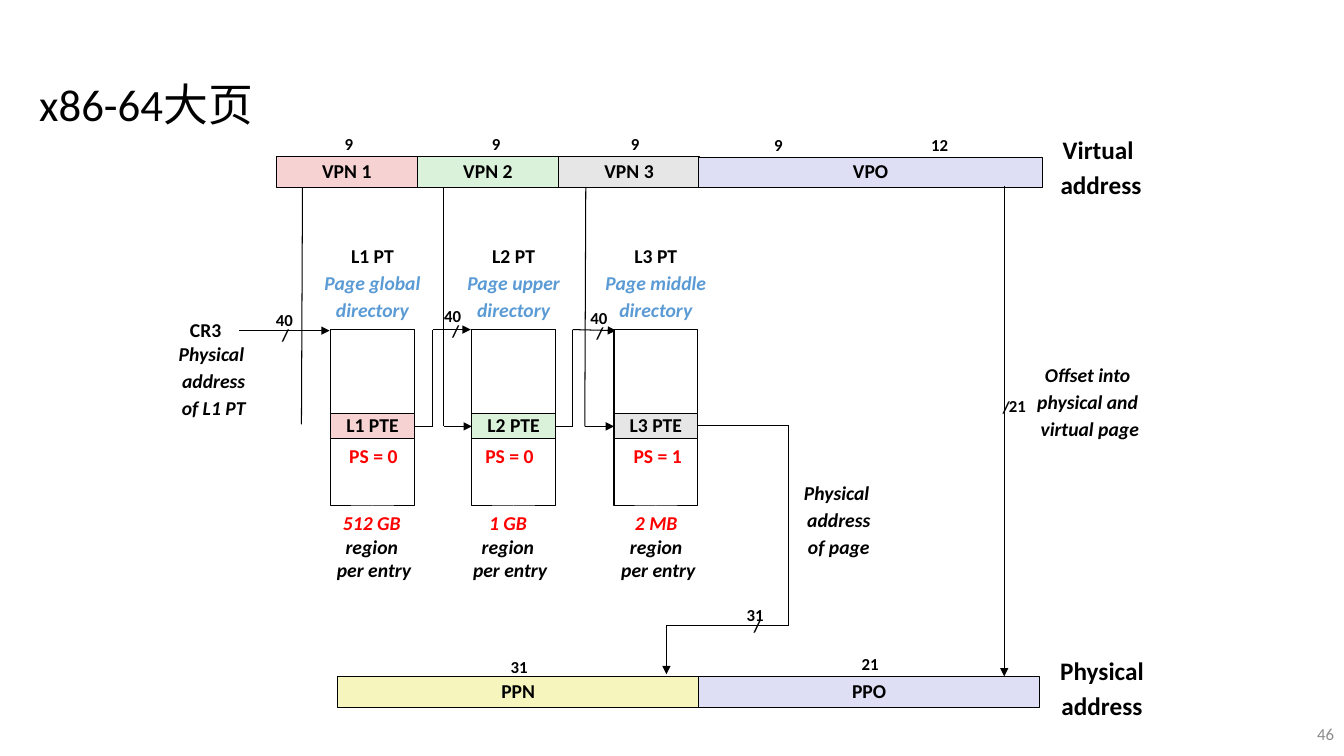
"""Build the slide on x86-64 huge page address translation."""
import pptx
import pptx.util
import pptx.dml.color
import pptx.enum.shapes
import pptx.enum.text
import pptx.oxml
import pptx.oxml.ns

Inches = pptx.util.Inches
Pt = pptx.util.Pt
ALIGN = pptx.enum.text.PP_ALIGN
COLORS = {
    "black": "000000", "white": "FFFFFF", "gray": "8C8C8C", "red": "FF0000",
    "blue": "5B9BD5", "pink": "F6D2D2", "green": "DBF2DA", "silver": "E6E6E6",
    "lavender": "DEDFF5", "yellow": "F6F5BD",
}


def rgb(name):
    return pptx.dml.color.RGBColor.from_string(COLORS[name])


def write(frame, lines, size, bold=True, align=ALIGN.CENTER, tight=True):
    for index, (words, color, italic) in enumerate(lines):
        paragraph = frame.paragraphs[0] if index == 0 else frame.add_paragraph()
        paragraph.alignment = align
        if tight:
            paragraph.line_spacing = 0.9
            if index:
                paragraph.space_before = Pt(0.3 * size)
        run = paragraph.add_run()
        run.text = words
        run.font.name = "Calibri"
        run.font.size = Pt(size)
        run.font.bold = bold
        run.font.italic = italic
        run.font.color.rgb = rgb(color)


def add_text(slide, left, top, width, height, lines, size, wrap=False, **style):
    box = slide.shapes.add_textbox(Inches(left), Inches(top), Inches(width), Inches(height))
    frame = box.text_frame
    frame.word_wrap = wrap
    frame.auto_size = pptx.enum.text.MSO_AUTO_SIZE.SHAPE_TO_FIT_TEXT
    write(frame, lines, size, **style)


def add_caption(slide, center, top, width, height, words, size=14, italic=False):
    lines = [(line, "black", italic) for line in words]
    add_text(slide, center - width / 2, top, width, height, lines, size)


def add_bits(slide, center, top, count):
    add_caption(slide, center, top, 0.37, 0.28, [count], 12)


def add_slash(slide, center, top):
    add_text(slide, center - 0.145, top, 0.29, 0.3, [("/", "black", False)], 12, tight=False)


def add_field(slide, left, top, width, height, fill, label=None):
    field = slide.shapes.add_shape(
        pptx.enum.shapes.MSO_SHAPE.RECTANGLE,
        Inches(left), Inches(top), Inches(width), Inches(height))
    field.shadow.inherit = False
    field.fill.solid()
    field.fill.fore_color.rgb = rgb(fill)
    field.line.color.rgb = rgb("black")
    field.line.width = Pt(0.75)
    if label:
        frame = field.text_frame
        frame.word_wrap = False
        frame.vertical_anchor = pptx.enum.text.MSO_ANCHOR.MIDDLE
        write(frame, [(label, "black", False)], 14)


def add_route(slide, points, arrow=True):
    for index, (start, end) in enumerate(zip(points, points[1:]), 2):
        segment = slide.shapes.add_connector(
            pptx.enum.shapes.MSO_CONNECTOR.STRAIGHT,
            Inches(start[0]), Inches(start[1]), Inches(end[0]), Inches(end[1]))
        segment.line.color.rgb = rgb("black")
        segment.line.width = Pt(0.75)
        if arrow and index == len(points):
            head = pptx.oxml.parse_xml(
                "<a:tailEnd %s type='triangle'/>" % pptx.oxml.ns.nsdecls("a"))
            segment.line._get_or_add_ln().append(head)
        properties = segment._element.spPr
        properties.append(pptx.oxml.parse_xml(
            "<a:effectLst %s/>" % pptx.oxml.ns.nsdecls("a")))


def add_level(slide, level, table_left, fill, directory, note_center, page_size, region):
    center = table_left + 0.415
    add_field(slide, table_left, 3.27, 0.83, 1.75, "white")
    add_field(slide, table_left, 4.1, 0.83, 0.25, fill, f"L{level} PTE")
    heading = [(f"L{level} PT", "black", False), (directory, "blue", True),
               ("directory", "blue", True)]
    add_text(slide, center - 0.6, 2.4, 1.2, 0.88, heading, 14)
    add_text(slide, note_center - 0.345, 4.35, 0.69, 0.34,
             [(f"PS = {page_size}", "red", False)], 14, align=ALIGN.LEFT, tight=False)
    coverage = [(region, "red", True), ("region ", "black", True),
                ("per entry", "black", True)]
    add_text(slide, note_center - 0.555, 5.02, 1.11, 0.81, coverage, 14,
             wrap=True, tight=False)


def add_addresses(slide):
    for index, fill in enumerate(("pink", "green", "silver")):
        add_field(slide, 2.74 + 1.4 * index, 1.55, 1.4, 0.31, fill, f"VPN {index + 1}")
    add_field(slide, 6.93, 1.56, 3.41, 0.3, "lavender", "VPO")
    add_field(slide, 3.35, 6.71, 3.58, 0.31, "yellow", "PPN")
    add_field(slide, 6.93, 6.71, 3.38, 0.31, "lavender", "PPO")
    add_caption(slide, 10.92, 1.32, 1.01, 0.74, ["Virtual ", "address"], 18)
    add_caption(slide, 10.93, 6.49, 1.04, 0.74, ["Physical ", "address"], 18)


def add_routes(slide):
    add_route(slide, [(3, 1.86), (2.99, 4.21)], arrow=False)
    add_route(slide, [(4.4, 1.86), (4.4, 4.23), (4.68, 4.23)])
    add_route(slide, [(5.81, 1.86), (5.8, 4.23), (6.09, 4.23)])
    add_route(slide, [(2.37, 3.28), (3.27, 3.28)])
    add_route(slide, [(4.09, 4.23), (4.29, 4.23), (4.29, 3.27), (4.67, 3.27)])
    add_route(slide, [(5.49, 4.23), (5.68, 4.23), (5.68, 3.27), (6.11, 3.28)])
    add_route(slide, [(6.9, 4.22), (7.82, 4.22), (7.82, 6.21), (6.61, 6.21), (6.61, 6.69)])
    add_route(slide, [(9.96, 1.85), (9.96, 6.71)])


def main():
    deck = pptx.Presentation()
    deck.slide_width = Inches(13.33)
    deck.slide_height = Inches(7.5)
    slide = deck.slides.add_slide(deck.slide_layouts[6])

    add_text(slide, 0.29, 0.71, 6.67, 0.64, [("x86-64大页", "black", False)], 32,
             wrap=True, bold=False, align=ALIGN.LEFT, tight=False)
    add_text(slide, 10.33, 7.13, 3, 0.3, [("46", "gray", False)], 12,
             wrap=True, bold=False, align=ALIGN.RIGHT, tight=False)
    add_addresses(slide)
    add_routes(slide)
    for level in (
        (1, 3.28, "pink", "Page global", 3.71, 0, "512 GB "),
        (2, 4.68, "green", "Page upper", 5.06, 0, "1 GB "),
        (3, 6.09, "silver", "Page middle", 6.53, 1, "2 MB "),
    ):
        add_level(slide, *level)

    add_caption(slide, 2.04, 3.13, 0.51, 0.31, ["CR3"])
    for center, top, width, words in (
        (2.12, 3.37, 0.9, ("Physical ", "address", "of L1 PT")),
        (8.32, 4.75, 0.9, ("Physical ", "address", "of page")),
        (10.81, 3.58, 1.26, ("Offset into ", "physical and ", "virtual page")),
    ):
        add_caption(slide, center, top, width, 0.88, words, italic=True)

    for center, top, count in (
        (3.46, 1.3, "9"), (4.92, 1.3, "9"), (6.3, 1.3, "9"), (7.72, 1.31, "9"),
        (9.32, 1.31, "12"), (5.15, 6.49, "31"), (8.63, 6.46, "21"),
        (2.82, 3.05, "40"), (4.49, 3.01, "40"), (5.94, 3.03, "40"),
        (7.49, 5.97, "31"), (10.09, 3.9, "21"),
    ):
        add_bits(slide, center, top, count)
    for center, top in ((2.83, 3.17), (4.52, 3.13), (5.95, 3.15), (7.51, 6.06), (9.98, 3.89)):
        add_slash(slide, center, top)
    deck.save("out.pptx")


if __name__ == "__main__":
    main()
